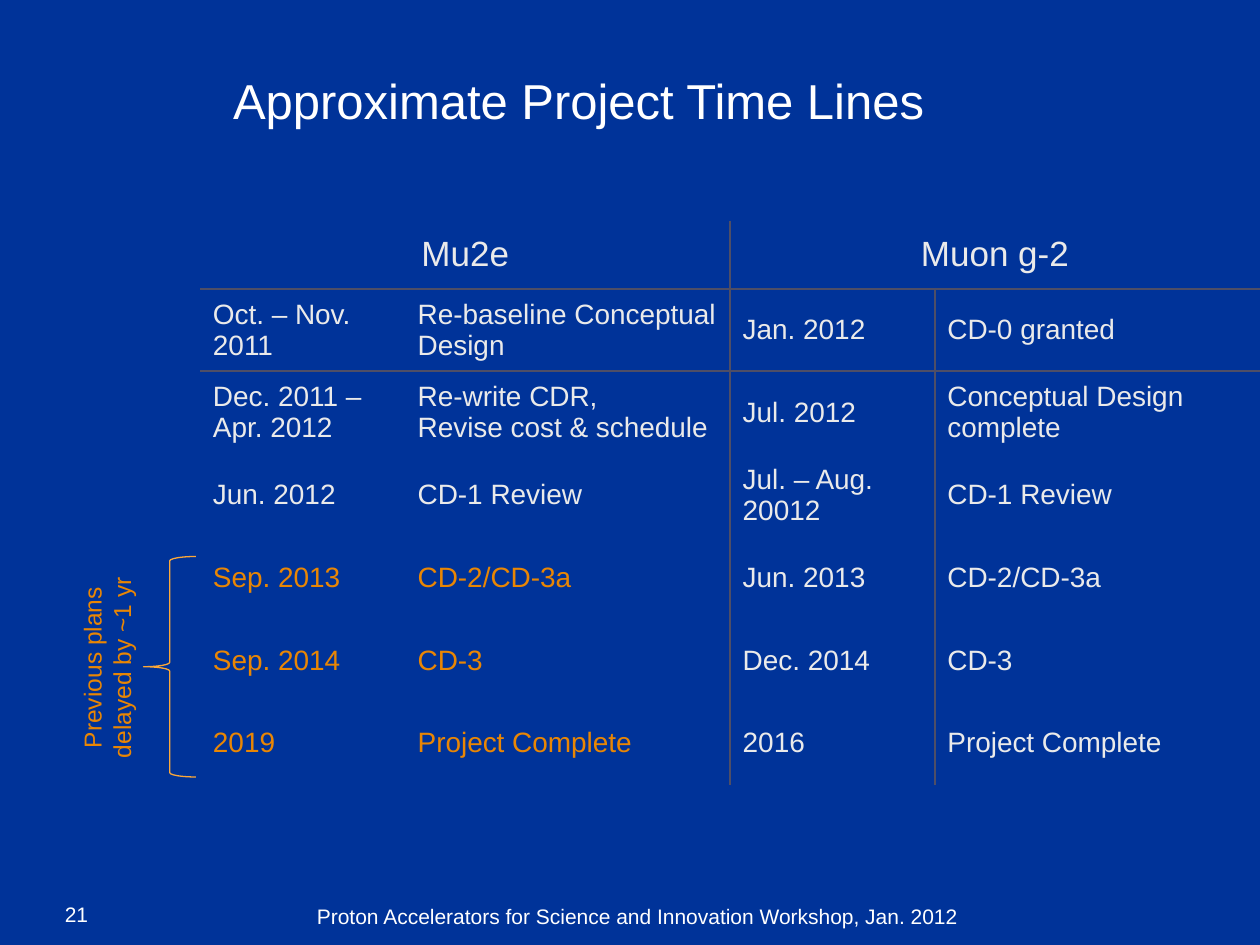
from lxml import etree
from pptx import Presentation
from pptx.dml.color import RGBColor
from pptx.enum.shapes import MSO_SHAPE
from pptx.enum.text import MSO_ANCHOR, PP_ALIGN
from pptx.oxml.ns import qn
from pptx.util import Pt

LEFT, CENTER = PP_ALIGN.LEFT, PP_ALIGN.CENTER
TOP, MIDDLE, BOTTOM = MSO_ANCHOR.TOP, MSO_ANCHOR.MIDDLE, MSO_ANCHOR.BOTTOM
LEFT_BRACE = MSO_SHAPE.LEFT_BRACE

BLUE = RGBColor(0x00, 0x33, 0x99)
WHITE = RGBColor(0xFF, 0xFF, 0xFF)
PALE = RGBColor(0xEA, 0xEA, 0xEA)
ORANGE = RGBColor(0xE9, 0x86, 0x04)
BRACE = RGBColor(0xFB, 0xA8, 0x3A)
GRID = RGBColor(0x4E, 0x4E, 0x66)

HEADINGS = ["Mu2e", "Muon g-2"]
MILESTONES = [
    ["Oct. – Nov. 2011", "Re-baseline Conceptual Design", "Jan. 2012", "CD-0 granted"],
    ["Dec. 2011 – Apr. 2012", "Re-write CDR,\nRevise cost & schedule",
     "Jul. 2012", "Conceptual Design complete"],
    ["Jun. 2012", "CD-1 Review", "Jul. – Aug. 20012", "CD-1 Review"],
    ["Sep. 2013", "CD-2/CD-3a", "Jun. 2013", "CD-2/CD-3a"],
    ["Sep. 2014", "CD-3", "Dec. 2014", "CD-3"],
    ["2019", "Project Complete", "2016", "Project Complete"],
]
FIRST_DELAYED_ROW = 4
COLUMN_WIDTHS = [117, 185.75] * 2
ROW_HEIGHTS = [39] + [47.25] * len(MILESTONES)


class SlideBuilder:
    font_name = "Arial"

    def __init__(self, slide):
        self.slide = slide
        slide.background.fill.solid()
        slide.background.fill.fore_color.rgb = BLUE

    def set_text(self, frame, text, size, color, alignment=LEFT):
        frame.text = text
        for paragraph in frame.paragraphs:
            paragraph.alignment = alignment
            paragraph.font.name = self.font_name
            paragraph.font.size = Pt(size)
            paragraph.font.color.rgb = color

    def title(self, text, left, top, width, height):
        title = self.slide.shapes.title
        title.left, title.top = Pt(left), Pt(top)
        title.width, title.height = Pt(width), Pt(height)
        title.text_frame.vertical_anchor = MIDDLE
        self.set_text(title.text_frame, text, 28, WHITE)

    def text(self, text, *box, size=12, color=WHITE, alignment=LEFT,
             anchor=BOTTOM, rotation=0):
        shape = self.slide.shapes.add_textbox(*map(Pt, box))
        shape.rotation = rotation
        shape.text_frame.word_wrap = True
        shape.text_frame.vertical_anchor = anchor
        self.set_text(shape.text_frame, text, size, color, alignment)

    def brace(self, *box):
        shape = self.slide.shapes.add_shape(LEFT_BRACE, *map(Pt, box))
        shape.shadow.inherit = False
        shape.fill.background()
        shape.line.color.rgb = BRACE
        shape.line.width = Pt(0.75)

    def borders(self, cell, sides):
        """Draw the grid line on the given sides (of "LRTB") and none on the rest."""
        properties = cell._tc.get_or_add_tcPr()
        for side in "LRTB":
            line = etree.SubElement(properties, qn(f"a:ln{side}"), w=str(Pt(1.5)))
            if side in sides:
                fill = etree.SubElement(line, qn("a:solidFill"))
                etree.SubElement(fill, qn("a:srgbClr"), val=str(GRID))
            else:
                etree.SubElement(line, qn("a:noFill"))

    def timeline_table(self, left, top):
        table = self.slide.shapes.add_table(
            len(ROW_HEIGHTS), len(COLUMN_WIDTHS), Pt(left), Pt(top),
            Pt(sum(COLUMN_WIDTHS)), Pt(sum(ROW_HEIGHTS))).table
        table.first_row = table.horz_banding = False
        for column, width in zip(table.columns, COLUMN_WIDTHS):
            column.width = Pt(width)
        for row, height in zip(table.rows, ROW_HEIGHTS):
            row.height = Pt(height)

        for index, heading in enumerate(HEADINGS):
            cell = table.cell(0, 2 * index)
            cell.merge(table.cell(0, 2 * index + 1))
            self.set_text(cell.text_frame, heading, 20, PALE, CENTER)
        for row, texts in enumerate(MILESTONES, start=1):
            for column, text in enumerate(texts):
                delayed = row >= FIRST_DELAYED_ROW and column < 2
                self.set_text(table.cell(row, column).text_frame, text, 16,
                              ORANGE if delayed else PALE)

        for row in range(len(ROW_HEIGHTS)):
            right_sides = ["R", "R", "", ""] if row == 0 else ["", "R", "R", ""]
            left_sides = ["", "", "L", ""] if row == 0 else ["", "", "L", "L"]
            level_sides = {0: "B", 1: "TB", 2: "T"}.get(row, "")
            for column in range(len(COLUMN_WIDTHS)):
                cell = table.cell(row, column)
                cell.vertical_anchor = MIDDLE
                self.borders(cell, left_sides[column] + right_sides[column] + level_sides)
                cell.fill.background()


def main():
    presentation = Presentation()
    presentation.slide_width, presentation.slide_height = Pt(720), Pt(540)
    title_only = presentation.slide_layouts[5]
    builder = SlideBuilder(presentation.slides.add_slide(title_only))

    builder.title("Approximate Project Time Lines", 126, 18, 564, 78)
    builder.text("Proton Accelerators for Science and Innovation Workshop, Jan. 2012",
                 174, 498, 408, 36)
    builder.text("21", 30, 497, 102, 36)
    builder.timeline_table(114.5, 126)
    builder.brace(82, 318, 30, 126)
    builder.text("Previous plans delayed by ~1 yr", -12, 361, 146, 41, size=14,
                 color=ORANGE, alignment=CENTER, anchor=TOP, rotation=270)
    presentation.save("out.pptx")


if __name__ == "__main__":
    main()
